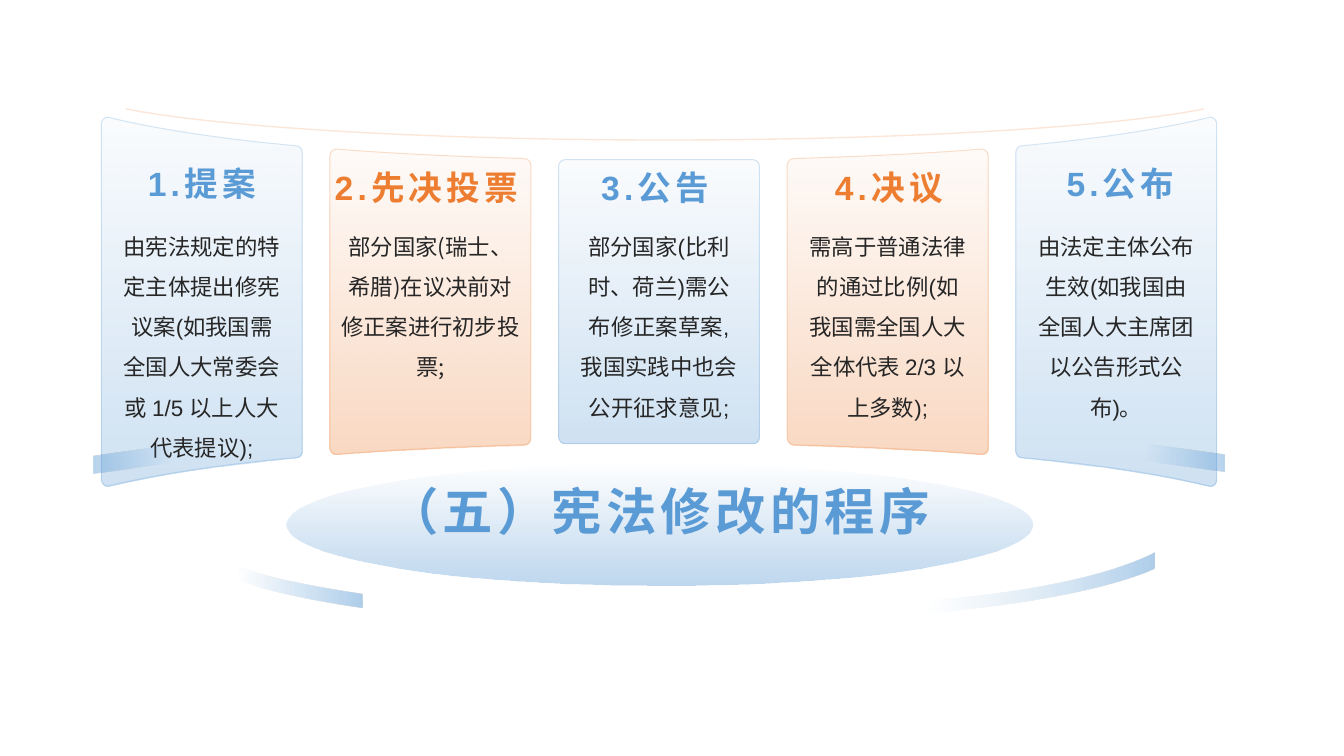
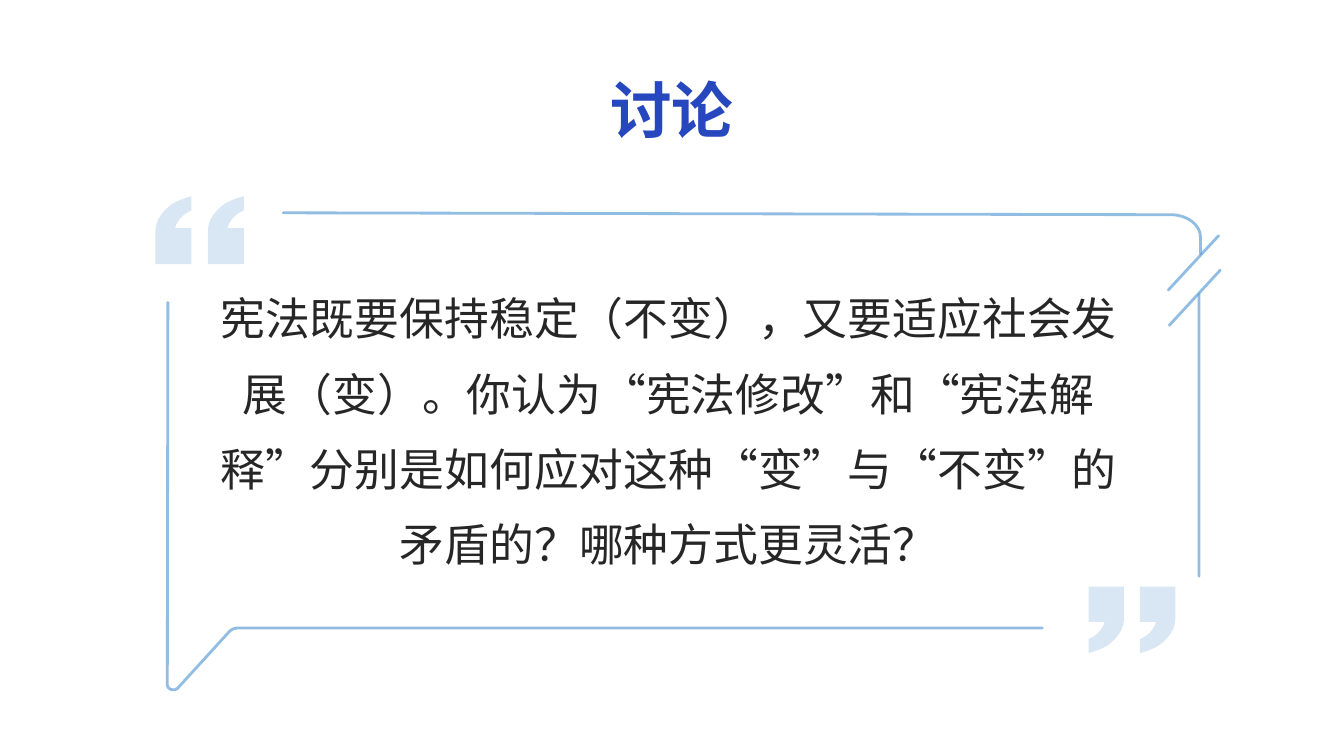
"""Builds two slides on constitutional amendment: the procedure and a discussion."""
from lxml.etree import SubElement
from pptx import Presentation
from pptx.dml.color import RGBColor
from pptx.enum.lang import MSO_LANGUAGE_ID as Language
from pptx.enum.shapes import MSO_CONNECTOR as Connector, MSO_SHAPE as Preset
from pptx.enum.text import MSO_ANCHOR as Anchor, MSO_AUTO_SIZE as AutoSize, PP_ALIGN as Align
from pptx.oxml.ns import qn
from pptx.util import Pt

COLORS = {"blue": "5B9BD5", "sky": "9DC3E6", "orange": "ED7D31", "royal": "2747BE", "ink": "262626"}
LATIN, CHINESE = "Arial", "Noto Sans CJK SC"

PROCEDURE_TITLE = "（五）宪法修改的程序"
STEPS = [
    {"head": "1.提案", "shift": 0, "middle": 130.5, "width": 113.8, "font": LATIN,
     "body": "由宪法规定的特定主体提出修宪议案(如我国需全国人大常委会或 1/5 以上人大代表提议);"},
    {"head": "2.先决投票", "shift": -2.8, "middle": 133.4, "width": 128.9, "font": CHINESE,
     "body": "部分国家(瑞士、希腊)在议决前对修正案进行初步投票;"},
    {"head": "3.公告", "shift": -2.8, "middle": 133.4, "width": 113.8, "font": LATIN,
     "body": "部分国家(比利时、荷兰)需公布修正案草案,我国实践中也会公开征求意见;"},
    {"head": "4.决议", "shift": 0.8, "middle": 133.4, "width": 113.8, "font": LATIN,
     "body": "需高于普通法律的通过比例(如我国需全国人大全体代表 2/3 以上多数);"},
    {"head": "5.公布", "shift": 3, "middle": 131, "width": 113.8, "font": LATIN,
     "body": "由法定主体公布生效(如我国由全国人大主席团以公告形式公布)。"},
]
DISCUSSION_TITLE = "讨论"
DISCUSSION = ("宪法既要保持稳定（不变），又要适应社会发展（变）。你认为“宪法修改”和“宪法解释”"
              "分别是如何应对这种“变”与“不变”的矛盾的？哪种方式更灵活？")

PANEL_LEFT, PANEL_WIDTH, PANEL_PITCH, PANEL_MIDDLE, CORNER = 72.4, 143.5, 163.3, 215.5, 4.7
PANEL_HALVES = [(131.8, 111.4), (109, 102.2), (101.4, 101.4)]
MIRROR_AXIS = 470.9

TOP_ARC = [(860, 77.8), (795, 90.7, 647.3, 100, 475.2, 100), (303, 100, 155.5, 90.7, 90, 77.8)]
LEFT_SWOOSH = [(258.8, 424), (259.2, 434), (259.2, 434, 170, 422, 158.4, 407), (159, 397.5),
               (159, 397.5, 165.6, 410.4, 258.8, 424)]
RIGHT_SWOOSH = [(824.5, 394.5), (824.5, 406), (824.5, 406, 781, 430, 638, 440), (638, 430.5),
                (638, 430.5, 763, 425.8, 824.5, 394.5)]
WING = [(875, 324.7), (875, 337), (875, 337, 823, 330, 811.5, 328.3), (811.5, 316)]
QUOTE_MARK = [(0, 0), (25.2, 0), (25.2, 23), (25.2, 29, 22.5, 34, 17.3, 38.9),
              (13.5, 43, 7.2, 45.5, 0, 47.5), (0, 37.5), (3.6, 36, 6.5, 33.8, 8.6, 31),
              (10, 29, 11.2, 27, 11.5, 25.2), (0, 25.2)]
QUOTE_PITCH = 36.7
QUOTES = [(777.6, 419, 1), (174.2, 188.6, -1.02)]
FRAME_LINES = [
    [(202.3, 152), (836.6, 153.4), (848, 153.4, 857.5, 160.6, 857.5, 169.2), (857.5, 181.4)],
    [(119.9, 216), (119.5, 489.6), (119.5, 492.5, 124.6, 493.9, 126.7, 491.8), (164.2, 450.7),
     (164.9, 450, 167, 448.6, 169.2, 448.6), (744.5, 448.6)],
]
STRAIGHT_LINES = [(856.5, 411.6, 856.5, 210.2), (835.2, 232.4, 871.6, 193), (834.5, 207.2, 870.5, 168.3)]


def rgb(name):
    return RGBColor.from_string(COLORS[name])


def set_alpha(node, *percents):
    for color, percent in zip(node.iter(qn("a:srgbClr")), percents):
        SubElement(color, qn("a:alpha")).set("val", str(percent * 1000))


def set_line(shape, color, width, alpha, cap="flat"):
    shape.line.color.rgb = rgb(color)
    shape.line.width = Pt(width)
    outline = shape.element.find(".//" + qn("a:ln"))
    outline.set("cap", cap)
    set_alpha(outline, alpha)


def set_gradient(shape, angle, *stops):
    """Fills with two stops of (position, colour, alpha)."""
    shape.fill.gradient()
    shape.fill.gradient_angle = angle
    for stop, (position, color, _) in zip(shape.fill.gradient_stops, stops):
        stop.position = position
        stop.color.rgb = rgb(color)
    set_alpha(shape.element.spPr, *(alpha for _, _, alpha in stops))


def place(outline, left=0, top=0, scale_x=1, scale_y=1):
    return [tuple(value * (scale_y if i % 2 else scale_x) + (top if i % 2 else left)
                  for i, value in enumerate(part)) for part in outline]


def bend(shape, parts):
    """Turns the line to each six-number part into a cubic curve."""
    origin = (shape.left, shape.top)
    nodes = list(shape.element.iter(qn("a:moveTo"), qn("a:lnTo")))
    for node, part in zip(nodes, parts):
        if len(part) == 2:
            continue
        curve = SubElement(node.getparent(), qn("a:cubicBezTo"))
        node.getparent().replace(node, curve)
        for i in (0, 2, 4):
            point = SubElement(curve, qn("a:pt"))
            for name, value, start in zip("xy", part[i:i + 2], origin):
                point.set(name, str(Pt(value) - start))


def draw(page, *outlines, closed=True):
    builder = None
    for outline in outlines:
        start, *rest = [tuple(map(Pt, part[-2:])) for part in outline]
        if builder is None:
            builder = page.shapes.build_freeform(*start, scale=1.0)
        else:
            builder.move_to(*start)
        builder.add_line_segments(rest, close=closed)
    shape = builder.convert_to_shape()
    bend(shape, [part for outline in outlines for part in outline])
    shape.shadow.inherit = False
    shape.line.fill.background()
    if not closed:
        shape.fill.background()
    return shape


def panel_outline(outer, inner, outer_half, inner_half):
    turn = CORNER if inner > outer else -CORNER
    start, end = outer + turn, inner - turn
    run, drop = end - start, outer_half - inner_half

    def edge(x_part, y_part, side):
        return start + run * x_part, PANEL_MIDDLE + side * (outer_half - drop * y_part)

    def corner(x, half, side):
        return x, PANEL_MIDDLE + side * half

    near, far = (0.24, 0.39), (0.58, 0.75)
    return [
        corner(inner, inner_half - CORNER, -1), corner(inner, inner_half - CORNER, 1),
        corner(inner, inner_half - 2, 1) + corner(inner - turn / 2, inner_half, 1) + edge(1, 1, 1),
        edge(*far, 1) + edge(*near, 1) + edge(0, 0, 1),
        corner(outer + turn / 2, outer_half, 1) + corner(outer, outer_half - 2, 1)
        + corner(outer, outer_half - CORNER, 1),
        corner(outer, outer_half - CORNER, -1),
        corner(outer, outer_half - 2, -1) + corner(outer + turn / 2, outer_half, -1) + edge(0, 0, -1),
        edge(*near, -1) + edge(*far, -1) + edge(1, 1, -1),
        corner(inner - turn / 2, inner_half, -1) + corner(inner, inner_half - 2, -1)
        + corner(inner, inner_half - CORNER, -1),
    ]


def write(box, text, size, color, font=LATIN, bold=False, spacing=1.0, after=0, tracking=0,
          anchor=Anchor.MIDDLE):
    frame = box.text_frame
    settings = {"word_wrap": True, "auto_size": AutoSize.NONE, "vertical_anchor": anchor, "margin_left": 0,
                "margin_right": 0, "margin_top": 0, "margin_bottom": 0}
    for name, value in settings.items():
        setattr(frame, name, value)
    para = frame.paragraphs[0]
    for name, value in {"alignment": Align.CENTER, "line_spacing": spacing, "space_before": Pt(0),
                        "space_after": Pt(after)}.items():
        setattr(para, name, value)
    span = para.add_run()
    span.text = text
    for name, value in {"name": font, "size": Pt(size), "bold": bold,
                        "language_id": Language.SIMPLIFIED_CHINESE}.items():
        setattr(span.font, name, value)
    span.font.color.rgb = rgb(color)
    properties = span._r.get_or_add_rPr()
    SubElement(properties, qn("a:ea")).set("typeface", CHINESE)
    if tracking:
        properties.set("spc", str(tracking * 100))


def add_text(page, area, text, size, color, **style):
    write(page.shapes.add_textbox(*map(Pt, area)), text, size, color, **style)


def add_title(page, area, text, size, color, **style):
    title = page.shapes.title
    title.left, title.top, title.width, title.height = map(Pt, area)
    title.element.getparent().append(title.element)
    write(title, text, size, color, bold=True, **style)


def add_procedure(page):
    disc = page.shapes.add_shape(Preset.OVAL, *map(Pt, (204.3, 331.2, 533.5, 87.1)))
    disc.shadow.inherit = False
    disc.line.fill.background()
    set_gradient(disc, 270, (0, "blue", 0), (1, "blue", 40))
    add_title(page, (250.6, 334.8, 440.6, 59.8), PROCEDURE_TITLE, 36, "blue", font=CHINESE, tracking=3)
    for outline, pale in ((LEFT_SWOOSH, "blue"), (RIGHT_SWOOSH, "sky")):
        set_gradient(draw(page, outline), 0, (0.12, pale, 0), (1, "blue", 49))
    set_line(draw(page, TOP_ARC, closed=False), "orange", 1, 18)

    for index, step in enumerate(STEPS):
        color = ("blue", "orange")[index % 2]
        left = PANEL_LEFT + index * PANEL_PITCH
        sides = (left, left + PANEL_WIDTH)
        outer, inner = sides if index < 3 else sides[::-1]
        panel = draw(page, panel_outline(outer, inner, *PANEL_HALVES[min(index, 4 - index)]))
        set_gradient(panel, 270, (0, color, 3), (1, color, 30))
        set_line(panel, color, 0.75, 25)
        center = left + PANEL_WIDTH / 2
        add_text(page, (center + step["shift"] - 75.6, step["middle"] - 20, 151.2, 40), step["head"], 24, color,
                 bold=True, tracking=3)
        add_text(page, (center - step["width"] / 2, 156.6, step["width"], 147), step["body"], 16, "ink",
                 font=step["font"], spacing=1.5, after=10, anchor=Anchor.TOP)

    for outline, angle in ((WING, 0), (place(WING, left=2 * MIRROR_AXIS, top=0.9, scale_x=-1), 180)):
        set_gradient(draw(page, outline), angle, (0.12, "blue", 0), (1, "blue", 44))


def add_discussion(page):
    for left, top, scale in QUOTES:
        marks = [place(QUOTE_MARK, left + n * QUOTE_PITCH * scale, top, scale, scale) for n in (0, 1)]
        quote = draw(page, *marks)
        quote.fill.solid()
        quote.fill.fore_color.rgb = rgb("blue")
        set_alpha(quote.element.spPr, 23)
    add_title(page, (66, 28.8, 828, 104.4), DISCUSSION_TITLE, 44, "royal", spacing=0.9)
    for outline in FRAME_LINES:
        set_line(draw(page, outline, closed=False), "blue", 2, 65, "rnd")
    for ends in STRAIGHT_LINES:
        line = page.shapes.add_connector(Connector.STRAIGHT, *map(Pt, ends))
        set_line(line, "blue", 2, 65, "rnd")
        SubElement(line.element.spPr, qn("a:effectLst"))
    add_text(page, (149.5, 192.6, 656.6, 240.5), DISCUSSION, 32, "ink", font=CHINESE, spacing=1.4,
             anchor=Anchor.TOP)


def main():
    deck = Presentation()
    deck.slide_width, deck.slide_height = Pt(960), Pt(540)
    for build in (add_procedure, add_discussion):
        build(deck.slides.add_slide(deck.slide_layouts[5]))
    deck.save("out.pptx")


if __name__ == "__main__":
    main()
